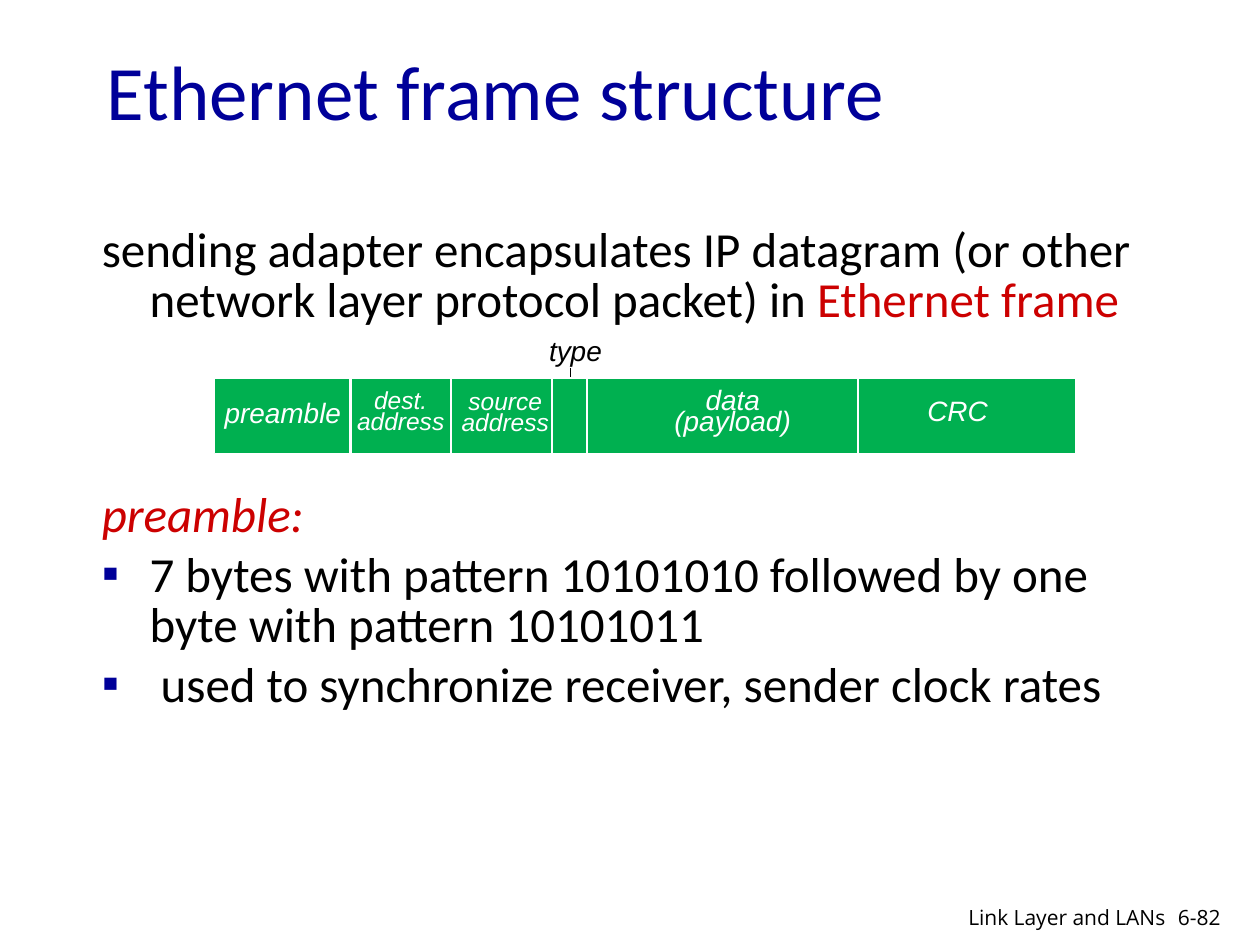
from dataclasses import dataclass
from lxml.etree import SubElement
from pptx import Presentation
from pptx.dml.color import RGBColor as RGB
from pptx.enum.shapes import MSO_CONNECTOR as Connector, MSO_SHAPE as Shape
from pptx.enum.text import MSO_ANCHOR as Anchor, PP_ALIGN as Align
from pptx.oxml.ns import qn
from pptx.util import Inches, Pt


@dataclass(frozen=True)
class Theme:
    navy: str = "000099"
    black: str = "000000"
    red: str = "CC0000"
    green: str = "00B050"
    white: str = "FFFFFF"
    body_font: str = "Calibri"
    frame_font: str = "Arial"
    footer_font: str = "Open Sans"
    title_size: int = 44
    body_size: int = 28
    field_size: int = 16
    address_size: int = 14
    footer_size: int = 12


THEME = Theme()


def style(run, font, size, color, italic=False):
    run.font.name = font
    run.font.size = Pt(size)
    run.font.color.rgb = RGB.from_string(color)
    run.font.italic = italic


def text_frame(slide, box):
    frame = slide.shapes.add_textbox(*map(Inches, box)).text_frame
    frame.word_wrap = True
    return frame


def label(slide, box, text, font, size, color, italic=False, align=Align.LEFT, spacing=None):
    frame = text_frame(slide, box)
    frame.text = text
    for paragraph in frame.paragraphs:
        paragraph.alignment = align
        if spacing:
            paragraph.line_spacing = Pt(spacing)
        for run in paragraph.runs:
            style(run, font, size, color, italic)
    return frame


def rule(slide, x, top, bottom, color, width):
    line = slide.shapes.add_connector(
        Connector.STRAIGHT, Inches(x), Inches(top), Inches(x), Inches(bottom))
    line.line.color.rgb = RGB.from_string(color)
    line.line.width = Pt(width)
    SubElement(line._element.spPr, qn("a:effectLst"))


def title(slide, box):
    heading = label(slide, box, "Ethernet frame structure",
                    THEME.body_font, THEME.title_size, THEME.navy)
    heading.vertical_anchor = Anchor.MIDDLE


def body(slide, box, items):
    frame = text_frame(slide, box)
    for index, (bulleted, parts) in enumerate(items):
        paragraph = frame.add_paragraph() if index else frame.paragraphs[0]
        paragraph.line_spacing = 0.85
        paragraph.space_before = Pt(0.2 * THEME.body_size)
        for text, color, italic in parts:
            run = paragraph.add_run()
            run.text = text
            style(run, THEME.body_font, THEME.body_size, color, italic)
        props = paragraph._p.get_or_add_pPr()
        props.set("marL", str(Inches(0.38)))
        props.set("indent", str(-Inches(0.38)))
        if bulleted:
            tint = SubElement(props, qn("a:buClr"))
            SubElement(tint, qn("a:srgbClr"), val=THEME.navy)
            SubElement(props, qn("a:buFont"), typeface="Arial")
            SubElement(props, qn("a:buChar"), char="▪")
        else:
            SubElement(props, qn("a:buNone"))


def ethernet_frame(slide, box):
    left, top, width, height = box
    rule(slide, left + 2.83, top - 0.08, top + 0.14, THEME.black, 0.75)
    band = slide.shapes.add_shape(Shape.RECTANGLE, *map(Inches, box))
    band.shadow.inherit = False
    band.fill.solid()
    band.fill.fore_color.rgb = RGB.from_string(THEME.green)
    band.line.color.rgb = RGB.from_string(THEME.white)
    band.line.width = Pt(0.75)
    for offset in (1.08, 1.88, 2.68, 2.96, 5.11):
        rule(slide, left + offset, top, top + height, THEME.white, 1.5)
    fields = (
        ("preamble", -0.04, 0.19, 1.17, 0.29, THEME.field_size),
        ("dest.\naddress", 1.02, 0.07, 0.92, 0.45, THEME.address_size),
        ("source\naddress", 1.85, 0.08, 0.92, 0.45, THEME.address_size),
        ("data (payload)", 3.36, 0.09, 1.51, 0.45, THEME.field_size),
        ("CRC", 5.43, 0.17, 0.94, 0.29, THEME.field_size),
    )
    for name, dx, dy, w, h, size in fields:
        label(slide, (left + dx, top + dy, w, h), name, THEME.frame_font, size,
              THEME.white, True, Align.CENTER, 12)
    label(slide, (left + 2.56, top - 0.4, 0.84, 0.37), "type",
          THEME.frame_font, THEME.field_size, THEME.black, True)


def footer(slide, box):
    left, top, width, height = box
    font = (THEME.footer_font, THEME.footer_size, THEME.black)
    label(slide, (left + 2.28, top, 0.6, height), "6-82", *font)
    label(slide, (left, top, 2.38, height), "Link Layer and LANs", *font, align=Align.RIGHT)


deck = Presentation()
deck.slide_width, deck.slide_height = Inches(10), Inches(7.5)
slide = deck.slides.add_slide(deck.slide_layouts[6])

title(slide, (0.75, 0.38, 8.5, 0.67))
body(slide, (0.71, 1.76, 8.5, 1), [
    (False, [("sending adapter encapsulates IP datagram (or other network layer "
              "protocol packet) in ", THEME.black, False),
             ("Ethernet frame", THEME.red, False)]),
])
ethernet_frame(slide, (1.7, 3, 6.84, 0.6))
body(slide, (0.71, 3.86, 8.5, 2.65), [
    (False, [("preamble:", THEME.red, True)]),
    (True, [("7 bytes with pattern 10101010 followed by one byte with pattern 10101011",
             THEME.black, False)]),
    (True, [(" used to synchronize receiver, sender clock rates", THEME.black, False)]),
])
footer(slide, (6.97, 7.13, 2.88, 0.3))
deck.save("out.pptx")
